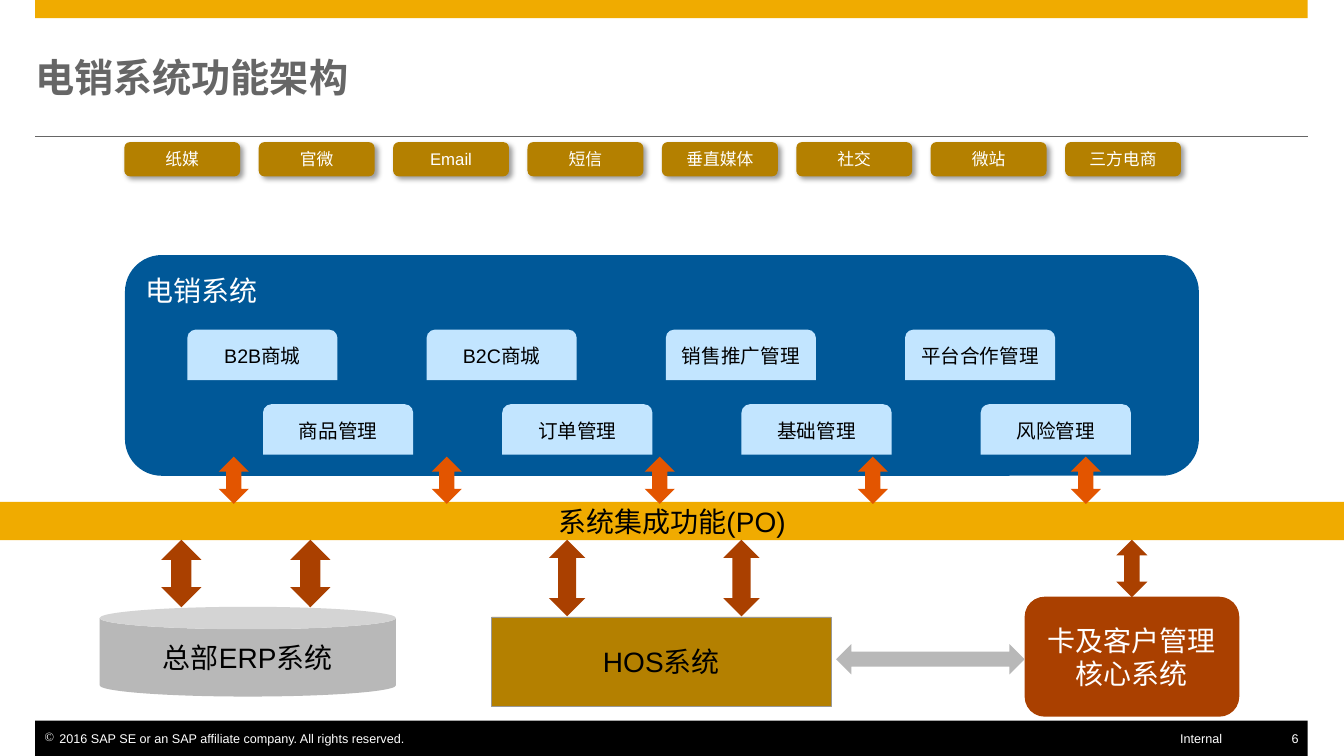
from lxml import etree
from pptx import Presentation
from pptx.dml.color import RGBColor
from pptx.enum.shapes import MSO_CONNECTOR, MSO_SHAPE as Preset
from pptx.enum.text import MSO_ANCHOR as Anchor, PP_ALIGN as Align
from pptx.oxml import parse_xml
from pptx.oxml.ns import nsdecls, qn
from pptx.util import Inches, Pt

COLORS = {
    "amber": "F0AB00", "gold": "B48000", "blue": "005898", "sky": "C2E5FF",
    "rust": "AA4000", "orange": "E35500", "silver": "B8B8B8", "edge": "999999",
    "gray": "666666", "black": "000000", "white": "FFFFFF",
}

presentation = Presentation()
presentation.slide_width = Inches(13.34)
presentation.slide_height = Inches(7.5)
slide = presentation.slides.add_slide(presentation.slide_layouts[5])


def area(left, top, width, height):
    """Turn percentages of the slide into lengths."""
    across, down = presentation.slide_width / 100, presentation.slide_height / 100
    return int(left * across), int(top * down), int(width * across), int(height * down)


def add_block(preset, box, fill, text="", size=20, color="black", align=Align.CENTER):
    shape = slide.shapes.add_shape(preset, *area(*box))
    shape.shadow.inherit = False
    shape.line.fill.background()
    shape.fill.solid()
    shape.fill.fore_color.rgb = RGBColor.from_string(COLORS[fill])
    if text:
        frame = shape.text_frame
        frame.margin_left = frame.margin_right = Inches(0.1)
        frame.margin_top = frame.margin_bottom = Inches(0.08)
        frame.vertical_anchor = Anchor.MIDDLE
        frame.text = text
        paragraph = frame.paragraphs[0]
        paragraph.alignment = align
        paragraph.font.name = "Arial"
        paragraph.font.size = Pt(size)
        paragraph.font.color.rgb = RGBColor.from_string(COLORS[color])
    return shape


# Page frame: top band, rule and footer band
MARGIN, CONTENT = 2.62, 94.68
add_block(Preset.RECTANGLE, (MARGIN, 0, CONTENT, 2.4), "amber")
add_block(Preset.RECTANGLE, (MARGIN, 95.33, CONTENT, 4.67), "black")
left, top, width, _ = area(MARGIN, 18, CONTENT, 0)
rule = slide.shapes.add_connector(MSO_CONNECTOR.STRAIGHT, left, top, left + width, top)
rule.line.color.rgb = RGBColor.from_string(COLORS["gray"])
rule.line.width = Pt(0.5)
etree.SubElement(rule._element.spPr, qn("a:effectLst"))

# Footer texts: left, width, left inset, right inset, alignment
footers = [
    ("2016 SAP SE or an SAP affiliate company. All rights reserved.",
     MARGIN, 27.89, 0.09, 0, Align.LEFT),
    ("Internal", 80.66, 10.27, 0, 0, Align.RIGHT),
    ("6", 95.43, 1.87, 0, 0.09, Align.RIGHT),
]
for text, left, width, inset_left, inset_right, align in footers:
    footer = slide.shapes.add_textbox(*area(left, 96.67, width, 2))
    frame = footer.text_frame
    frame.word_wrap = True
    frame.margin_left, frame.margin_right = Inches(inset_left), Inches(inset_right)
    frame.margin_top = frame.margin_bottom = 0
    frame.text = text
    paragraph = frame.paragraphs[0]
    paragraph.alignment = align
    if align == Align.LEFT:
        properties = paragraph._p.get_or_add_pPr()
        properties.set("marL", str(Inches(0.15)))
        properties.set("indent", str(-Inches(0.15)))
        properties.append(parse_xml(
            f'<a:buClr {nsdecls("a")}><a:srgbClr val="{COLORS["white"]}"/></a:buClr>'))
        properties.append(parse_xml(f'<a:buChar {nsdecls("a")} char="©"/>'))
    paragraph.font.name = "Arial"
    paragraph.font.size = Pt(9)
    paragraph.font.color.rgb = RGBColor.from_string(COLORS["white"])

# Title
title = slide.shapes.title
title.left, title.top, title.width, title.height = area(MARGIN, 4.67, CONTENT, 11.07)
frame = title.text_frame
frame.margin_left = frame.margin_right = frame.margin_top = frame.margin_bottom = 0
frame.vertical_anchor = Anchor.MIDDLE
frame.text = "电销系统功能架构"
paragraph = frame.paragraphs[0]
paragraph.alignment = Align.LEFT
paragraph.font.name = "Arial"
paragraph.font.size = Pt(28)
paragraph.font.bold = True
paragraph.font.color.rgb = RGBColor.from_string(COLORS["gray"])

# Channels, with a soft shadow
channels = ["纸媒", "官微", "Email", "短信", "垂直媒体", "社交", "微站", "三方电商"]
for column, name in enumerate(channels):
    channel = add_block(Preset.ROUNDED_RECTANGLE, (9.25 + 10 * column, 18.8, 8.62, 4.53),
                        "gold", name, 12, "white")
    channel._element.spPr.find(qn("a:effectLst")).append(parse_xml(
        f'<a:outerShdw {nsdecls("a")} blurRad="{Pt(4)}" dist="{Pt(3)}" dir="2700000" '
        f'algn="tl" rotWithShape="0"><a:srgbClr val="{COLORS["black"]}">'
        '<a:alpha val="40000"/></a:srgbClr></a:outerShdw>'))

# Sales system and its modules
sales = add_block(Preset.ROUNDED_RECTANGLE, (9.3, 33.73, 79.91, 29.2), "blue",
                  "电销系统", 20, "white", Align.LEFT)
sales.text_frame.vertical_anchor = Anchor.TOP
module_rows = [
    (13.94, 43.6, ["B2B商城", "B2C商城", "销售推广管理", "平台合作管理"]),
    (19.57, 53.47, ["商品管理", "订单管理", "基础管理", "风险管理"]),
]
for left, top, modules in module_rows:
    for column, name in enumerate(modules):
        add_block(Preset.ROUND_2_SAME_RECTANGLE, (left + 17.8 * column, top, 11.17, 6.67),
                  "sky", name, 14)

# Back-end systems
add_block(Preset.CAN, (7.42, 80.27, 22.04, 11.87), "silver", "总部ERP系统")
host = add_block(Preset.RECTANGLE, (36.58, 81.6, 25.26, 11.87), "gold", "HOS系统")
host.line.color.rgb = RGBColor.from_string(COLORS["edge"])
host.line.width = Pt(0.5)
add_block(Preset.ROUNDED_RECTANGLE, (76.24, 78.93, 15.97, 15.87), "rust",
          "卡及客户管理核心系统", 20, "white")
add_block(Preset.LEFT_RIGHT_ARROW, (62.22, 85.2, 14.02, 4), "silver")

# Integration bar and the arrows above and below it
add_block(Preset.RECTANGLE, (0, 66.4, 100, 5.07), "amber", "系统集成功能(PO)")
for column in range(5):
    add_block(Preset.UP_DOWN_ARROW, (16.27 + 15.85 * column, 60.4, 2.25, 6.27), "orange")
for left, width, height in [(11.99, 3, 8.93), (21.59, 3, 8.93), (40.85, 2.7, 10.13),
                            (53.82, 2.7, 10.13), (83.06, 2.32, 7.6)]:
    add_block(Preset.UP_DOWN_ARROW, (left, 71.4, width, height), "rust")

presentation.save("out.pptx")
